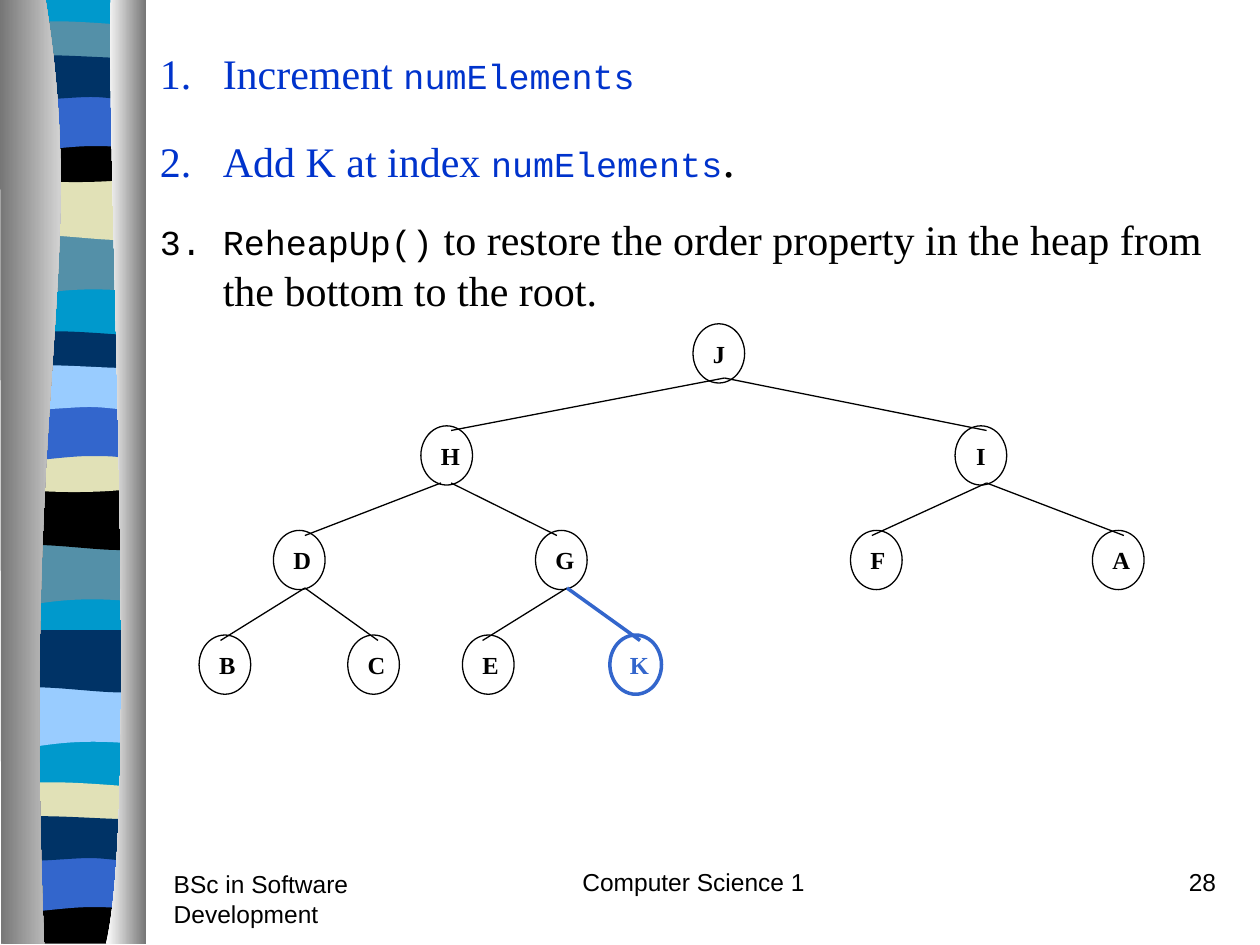
from lxml.etree import SubElement
from pptx import Presentation
from pptx.dml.color import RGBColor
from pptx.enum.shapes import MSO_CONNECTOR, MSO_SHAPE
from pptx.enum.text import MSO_ANCHOR, PP_ALIGN
from pptx.oxml.ns import qn
from pptx.util import Inches, Pt

BLACK, BLUE, NAVY = "000000", "3366CC", "003366"
SAND, TEAL, SKY = "E1E1B7", "5490A8", "99CCFF"
CYAN, TEXT_BLUE, GRAY, WHITE = "0099CC", "0033CC", "767676", "FFFFFF"
SERIF, MONO, SANS = "Times New Roman", "Courier New", "Arial"

# Each step is a line end (x, y) or a curve (control, control, end).
BACKING = [(1.14, -0.01), (1.14, 7.47), (0.06, 7.47), (0.06, -0.01)]
BANDS = {
    "sagging": [(1.14, 1.85), (1.14, 2.32), (0.39, 2.24, 0.24, 2.4, 0.06, 2.32), (0.06, 1.85)],
    "wavy": [(1.14, 1.41), (1.14, 1.88), (0.96, 1.96, 0.39, 1.82, 0.06, 1.88), (0.06, 1.41)],
    "thin": [(1.14, 0.21), (1.14, 0.45), (0.96, 0.49, 0.24, 0.49, 0.06, 0.45), (0.06, 0.21),
             (0.12, 0.16, 0.29, 0.17, 0.47, 0.17), (0.65, 0.17, 1, 0.2, 1.14, 0.21)],
    "bowl": [(1.14, 1.08), (1.14, 1.4), (0.96, 1.46, 0.24, 1.46, 0.06, 1.4), (0.06, 1.08),
             (0.72, 1.13, 0.91, 1.08, 1.14, 1.08)],
    "base": [(1.14, 1.08), (1.14, 1.45), (0.06, 1.45), (0.06, 1.08),
             (0.72, 1.13, 0.91, 1.08, 1.14, 1.08)],
    "arch": [(1.14, 0.74), (1.14, 1.21), (0.97, 1.16, 0.9, 1.16, 0.72, 1.16),
             (0.54, 1.16, 0.22, 1.21, 0.06, 1.21), (0.06, 0.74)],
    "ripple": [(1.14, 0.46), (1.14, 0.77), (1.07, 0.82, 0.9, 0.77, 0.72, 0.77),
               (0.54, 0.77, 0.17, 0.82, 0.06, 0.77), (0.06, 0.46),
               (0.21, 0.41, 0.79, 0.46, 0.97, 0.46), (1.15, 0.46, 1.1, 0.46, 1.14, 0.46)],
}
STRIPES = [
    (0, 0, {"sagging": TEAL, "wavy": SAND, "thin": TEAL, "bowl": BLACK, "arch": BLUE, "ripple": NAVY}),
    (-0.01, 2.46, {"sagging": TEAL, "wavy": BLACK, "thin": NAVY, "bowl": SAND, "arch": BLUE, "ripple": SKY}),
    (0, 3.59, {"sagging": SKY, "wavy": NAVY}),
    (-0.01, 6.04, {"thin": SAND, "base": BLACK, "arch": BLUE, "ripple": NAVY}),
]
LEFT_COLUMN = [(0.36, -0.01), (0.71, 2.16, 0.17, 2.96, 0.35, 7.49), (0.01, 7.49), (0, -0.01)]
RIGHT_COLUMN = [(0.88, -0.01), (0.84, 1.25, 1.11, 6.46, 0.84, 7.49), (1.16, 7.49), (1.16, 0)]

STEPS = [
    (12.5, TEXT_BLUE, [("Increment ", SERIF, 24, TEXT_BLUE), ("numElements", MONO, 20, TEXT_BLUE)]),
    (17.5, TEXT_BLUE, [("Add K at index ", SERIF, 24, TEXT_BLUE), ("numElements", MONO, 20, TEXT_BLUE),
                       (".", SERIF, 28, BLACK)]),
    (15, BLACK, [("ReheapUp()", MONO, 20, BLACK),
                 (" to restore the order property in the heap from the bottom to the root.", SERIF, 24, BLACK)]),
]
HEAP_LEVELS = [
    (2.57, {"J": 5.5}),
    (3.38, {"H": 3.34, "I": 7.58}),
    (4.21, {"D": 2.17, "G": 4.25, "F": 6.75, "A": 8.67}),
    (5.04, {"B": 1.58, "C": 2.76, "E": 3.67, "K": 4.84}),
]
EDGE_LEVELS = [
    [(5.75, 3.58), (5.75, 7.83)],
    [(3.5, 2.42), (3.58, 4.42), (7.83, 6.92), (7.83, 8.92)],
    [(2.42, 1.75), (2.42, 3), (4.5, 3.83), (4.5, 5.08)],
]
FOOTERS = [
    ("Computer Science 1", 3.92, 6.83, 3.17, PP_ALIGN.CENTER),
    ("28", 7.67, 6.83, 2.08, PP_ALIGN.RIGHT),
    ("BSc in Software Development", 1.28, 6.85, 2.08, PP_ALIGN.LEFT),
]


def color(value):
    """Turn a hex string into a colour."""
    return RGBColor.from_string(value)


def set_font(font, name, size, value):
    """Set the typeface, size and colour of a font."""
    font.name, font.size = name, Pt(size)
    font.color.rgb = color(value)


def bend(shape, outline):
    """Join the three points of each curve step into one Bezier segment."""
    lines = iter(list(shape._element.iter(qn("a:lnTo"))))
    for step in outline[1:]:
        first = next(lines)
        if len(step) == 6:
            first.tag = qn("a:cubicBezTo")
            for line in (next(lines), next(lines)):
                first.append(line[0])
                line.getparent().remove(line)


def add_outline(page, outline, dx=0, dy=0):
    """Add a borderless closed shape, shifted by dx and dy."""
    points = [(Inches(step[i] + dx), Inches(step[i + 1] + dy))
              for step in outline for i in range(0, len(step), 2)]
    builder = page.shapes.build_freeform(*points[0])
    builder.add_line_segments(points[1:], close=True)
    shape = builder.convert_to_shape()
    bend(shape, outline)
    shape.shadow.inherit = False
    shape.line.fill.background()
    return shape


def add_band(page, outline, value, dx=0, dy=0):
    """Add an outline in one colour."""
    fill = add_outline(page, outline, dx, dy).fill
    fill.solid()
    fill.fore_color.rgb = color(value)


def add_column(page, outline, left_color, right_color):
    """Add a column shaded from left to right."""
    fill = add_outline(page, outline).fill
    fill.gradient()
    fill.gradient_angle = 0
    for stop, value, position in zip(fill.gradient_stops, (left_color, right_color), (0, 1)):
        stop.color.rgb = color(value)
        stop.position = position


def add_ribbon(page):
    """Add the striped ribbon between its two columns."""
    add_band(page, BACKING, CYAN)
    for dx, dy, stripes in STRIPES:
        for band, value in stripes.items():
            add_band(page, BANDS[band], value, dx, dy)
    add_column(page, LEFT_COLUMN, GRAY, WHITE)
    add_column(page, RIGHT_COLUMN, WHITE, GRAY)


def add_text_box(page, left, top, width, height):
    """Add a wrapping text box and return its text frame."""
    box = page.shapes.add_textbox(Inches(left), Inches(top), Inches(width), Inches(height))
    box.text_frame.word_wrap = True
    return box.text_frame


def number(para, value):
    """Give a paragraph a coloured automatic number."""
    properties = para._p.get_or_add_pPr()
    properties.set("marL", str(Inches(0.5)))
    properties.set("indent", str(-Inches(0.5)))
    SubElement(SubElement(properties, qn("a:buClr")), qn("a:srgbClr")).set("val", value)
    SubElement(properties, qn("a:buAutoNum")).set("type", "arabicPeriod")


def add_steps(page):
    """Add the numbered insertion steps."""
    frame = add_text_box(page, 1.17, 0.33, 8.5, 2.22)
    for index, (space, number_color, spans) in enumerate(STEPS):
        para = frame.add_paragraph() if index else frame.paragraphs[0]
        para.space_before = Pt(space)
        number(para, number_color)
        for text, *style in spans:
            span = para.add_run()
            span.text = text
            set_font(span.font, *style)


def add_node(page, letter, left, top, value, weight):
    """Add a heap node with its letter."""
    node = page.shapes.add_shape(MSO_SHAPE.OVAL, Inches(left), Inches(top), Inches(0.41), Inches(0.47))
    node.shadow.inherit = False
    node.fill.background()
    node.line.color.rgb = color(value)
    node.line.width = Pt(weight)
    node.text_frame.vertical_anchor = MSO_ANCHOR.MIDDLE
    para = node.text_frame.paragraphs[0]
    para.text, para.alignment = letter, PP_ALIGN.CENTER
    set_font(para.font, SERIF, 14, value)
    para.font.bold = True


def add_edge(page, start, end, value, weight):
    """Add a line from a parent to a child."""
    edge = page.shapes.add_connector(MSO_CONNECTOR.STRAIGHT, *map(Inches, start + end))
    edge.line.color.rgb = color(value)
    edge.line.width = Pt(weight)
    SubElement(edge._element.spPr, qn("a:effectLst"))


def add_heap(page):
    """Add the heap with its new node K highlighted."""
    for top, nodes in HEAP_LEVELS:
        for letter, left in nodes.items():
            style = (BLUE, 2) if letter == "K" else (BLACK, 0.75)
            add_node(page, letter, left, top, *style)
    for level, edges in enumerate(EDGE_LEVELS):
        top = 3 + level * 5 / 6
        for start, end in edges:
            style = (BLUE, 2) if (start, end) == (4.5, 5.08) else (BLACK, 0.75)
            add_edge(page, (start, top), (end, top + 5 / 12), *style)


def add_footer(page, text, left, top, width, alignment):
    """Add one footer text."""
    para = add_text_box(page, left, top, width, 0.5).paragraphs[0]
    para.text, para.alignment, para.space_before = text, alignment, Pt(8.8)
    set_font(para.font, SANS, 14, BLACK)


def main():
    """Build the slide and save it."""
    deck = Presentation()
    deck.slide_width, deck.slide_height = Inches(10), Inches(7.5)
    page = deck.slides.add_slide(deck.slide_layouts[6])
    add_ribbon(page)
    add_steps(page)
    add_heap(page)
    for footer in FOOTERS:
        add_footer(page, *footer)
    deck.save("out.pptx")


if __name__ == "__main__":
    main()
